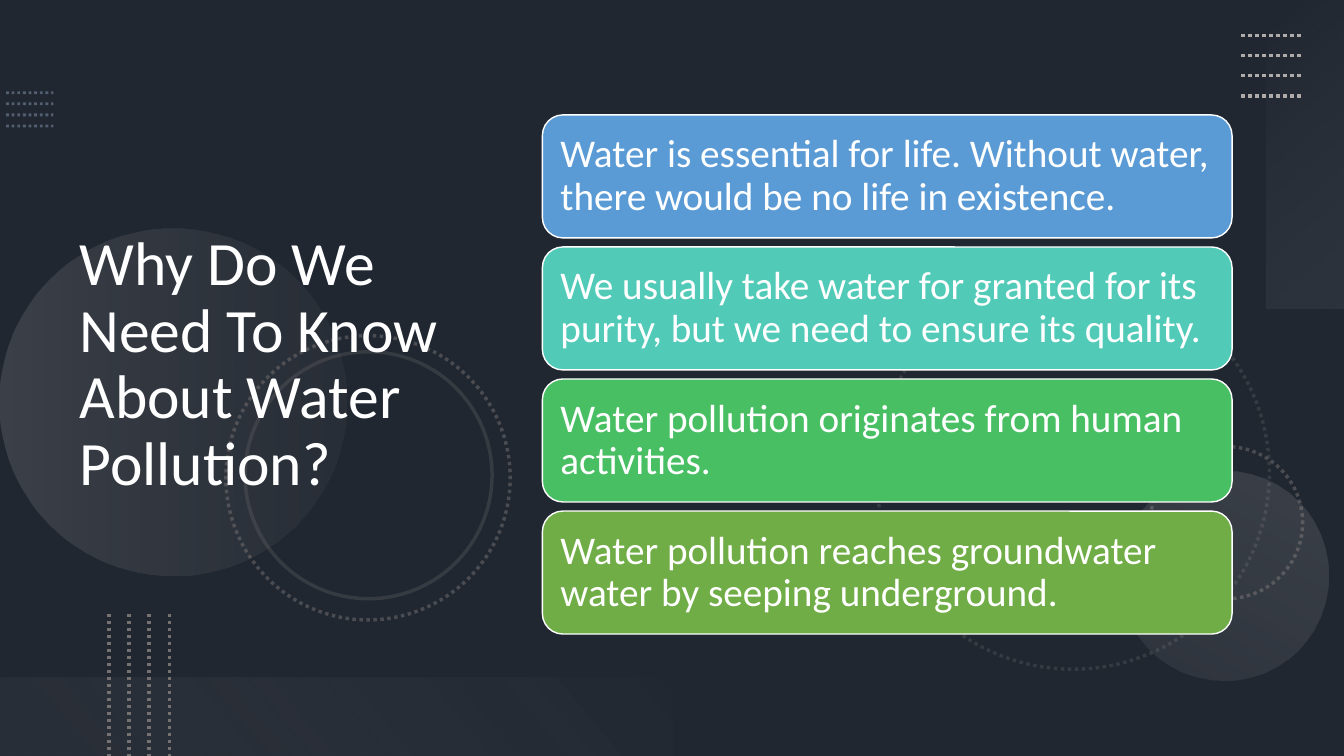
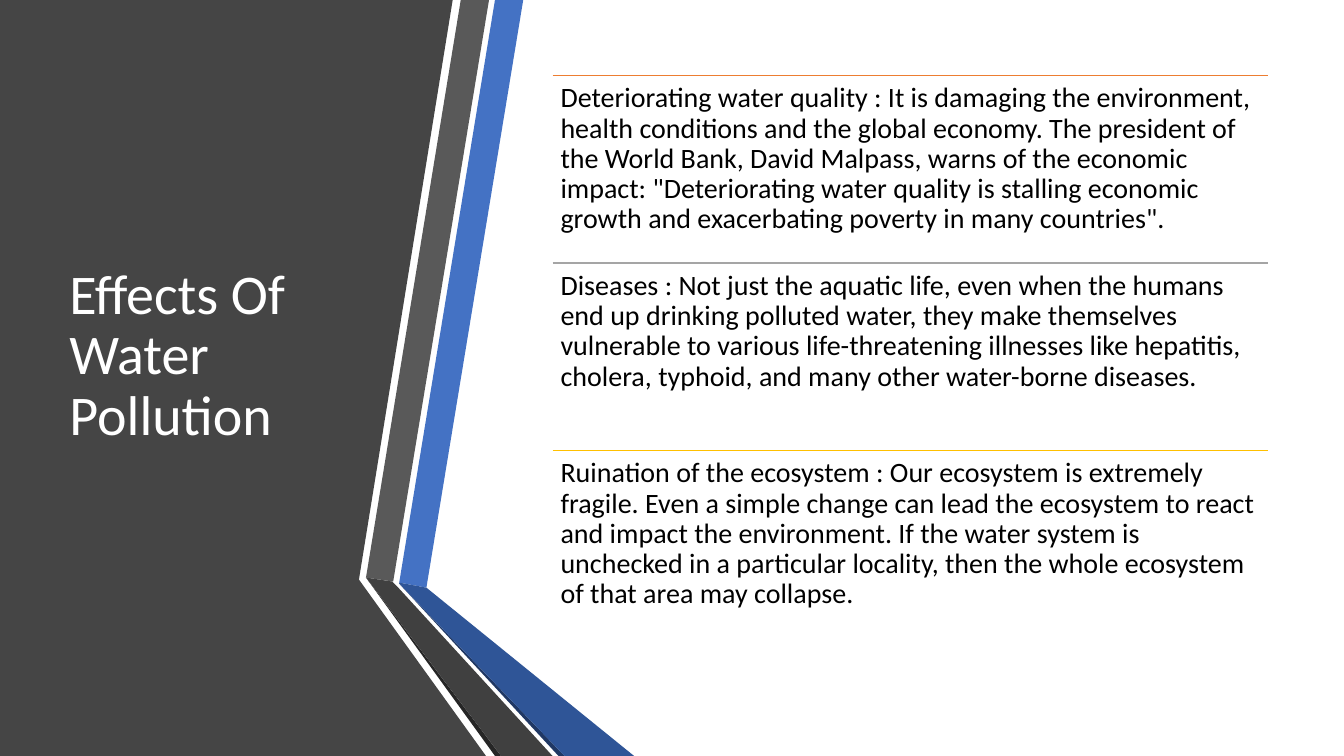
from dataclasses import dataclass
from typing import Optional

from lxml.etree import SubElement as Sub
from pptx import Presentation
from pptx.dml.color import RGBColor
from pptx.enum.dml import MSO_LINE
from pptx.enum.shapes import MSO_CONNECTOR, MSO_SHAPE as Kind
from pptx.enum.text import MSO_ANCHOR as Anchor, PP_ALIGN as Align
from pptx.oxml.ns import qn
from pptx.util import Inches, Pt

FONT = "Calibri"
WHITE, BLACK = "FFFFFF", "000000"
GREY, PALE = "767171", "AFABAB"


@dataclass
class Dots:
    """Rows of dots: first line, step to the next one, and look."""
    start: tuple
    end: tuple
    step: tuple
    color: str
    width: float
    alpha: int = 100


@dataclass
class Stop:
    pos: int
    color: str
    alpha: int


@dataclass
class Decor:
    kind: Kind
    box: tuple
    turn: int
    angle: int = 0
    stops: tuple = ()
    alpha: int = 100
    dotted: bool = True


@dataclass
class Item:
    color: str
    text: str


@dataclass
class Facet:
    color: str
    points: tuple


DOTS = [
    Dots((0.06, 0.92), (0.53, 0.92), (0, 0.11), "8497B0", 2, 50),
    Dots((12.31, 0.35), (12.91, 0.35), (0, 0.2), PALE, 2.5),
    Dots((1.08, 6.09), (1.08, 7.5), (0.2, 0), GREY, 2.5),
]

DECOR = [
    Decor(Kind.OVAL, (8.69, 2.74, 3.9, 3.9), 75, alpha=25),
    Decor(Kind.OVAL, (11.41, 4.43, 1.51, 1.51), 270, alpha=50),
    Decor(Kind.OVAL, (0, 2.27, 3.44, 3.44), 270, 90,
          (Stop(0, PALE, 20), Stop(100, GREY, 10))),
    Decor(Kind.OVAL, (11.1, 4.67, 2.08, 2.08), 210, 90,
          (Stop(0, PALE, 10), Stop(100, PALE, 20))),
    Decor(Kind.OVAL, (2.24, 3.33, 2.82, 2.82), 75, alpha=50),
    Decor(Kind.OVAL, (2.43, 3.49, 2.45, 2.45), 75, alpha=25, dotted=False),
    Decor(Kind.RECTANGLE, (11.42, 1.14, 3.06, 0.78), 270, 140,
          (Stop(0, "F5F5F5", 0), Stop(100, PALE, 10))),
    Decor(Kind.RECTANGLE, (0, 6.72, 6.67, 0.78), 180, 140,
          (Stop(10, GREY, 10), Stop(100, "F1F0F0", 0))),
]

REASONS = [
    Item("5B9BD5", "Water is essential for life. Without water, "
         "there would be no life in existence."),
    Item("52CAB8", "We usually take water for granted for its purity, "
         "but we need to ensure its quality."),
    Item("49BF64", "Water pollution originates from human activities."),
    Item("70AD47", "Water pollution reaches groundwater water "
         "by seeping underground."),
]

EFFECTS = [
    Item("ED7D31", "Deteriorating water quality : It is damaging the "
         "environment, health conditions and the global economy. The "
         "president of the World Bank, David Malpass, warns of the economic "
         "impact: \"Deteriorating water quality is stalling economic growth "
         "and exacerbating poverty in many countries\"."),
    Item("A5A5A5", "Diseases : Not just the aquatic life, even when the "
         "humans end up drinking polluted water, they make themselves "
         "vulnerable to various life-threatening illnesses like hepatitis, "
         "cholera, typhoid, and many other water-borne diseases."),
    Item("FFC000", "Ruination of the ecosystem : Our ecosystem is extremely "
         "fragile. Even a simple change can lead the ecosystem to react and "
         "impact the environment. If the water system is unchecked in a "
         "particular locality, then the whole ecosystem of that area may "
         "collapse."),
]

FACETS = [
    Facet("454545", ((0, 0), (4.49, 0), (3.56, 5.75), (4.82, 7.5), (0, 7.5))),
    Facet("4472C4", ((3.96, 5.78), (4.23, 5.83), (5.19, 0), (4.91, 0))),
    Facet("595959", ((4.85, 0), (4.57, 0), (3.63, 5.73), (3.9, 5.77))),
    Facet("262626", ((3.63, 5.73), (4.91, 7.5), (4.97, 7.5))),
    Facet("203864", ((3.96, 5.79), (5.54, 7.5), (5.6, 7.5))),
    Facet("2F5597", ((3.96, 5.79), (5.6, 7.5), (6.29, 7.5), (4.23, 5.83),
                     (3.96, 5.78))),
    Facet("404040", ((5.48, 7.5), (3.95, 5.83), (3.89, 5.77), (3.63, 5.73),
                     (4.97, 7.5))),
]


def rgb(code: str) -> RGBColor:
    return RGBColor.from_string(code)


def inch(values: tuple) -> list:
    return [Inches(v) for v in values]


def fade(shape, alpha: int) -> None:
    """Set the opacity, in percent, of the shape's plain colours."""
    if alpha < 100:
        for color in shape.element.spPr.iter(qn("a:srgbClr")):
            Sub(color, qn("a:alpha"), val=str(alpha * 1000))


def blend(shape, stops: tuple, angle: int) -> None:
    """Fill with a linear gradient that turns with the shape."""
    geom = shape.element.spPr.find(qn("a:prstGeom"))
    grad = Sub(shape.element.spPr, qn("a:gradFill"), rotWithShape="1")
    geom.addnext(grad)
    row = Sub(grad, qn("a:gsLst"))
    for stop in stops:
        mark = Sub(row, qn("a:gs"), pos=str(stop.pos * 1000))
        color = Sub(mark, qn("a:srgbClr"), val=stop.color)
        Sub(color, qn("a:alpha"), val=str(stop.alpha * 1000))
    Sub(grad, qn("a:lin"), ang=str(angle * 60000), scaled="0")


def paint(shape, fill: Optional[str] = None, edge: Optional[str] = None,
          width: float = 1) -> None:
    shape.shadow.inherit = False
    if fill:
        shape.fill.solid()
        shape.fill.fore_color.rgb = rgb(fill)
    else:
        shape.fill.background()
    if edge:
        shape.line.color.rgb = rgb(edge)
        shape.line.width = Pt(width)
    else:
        shape.line.fill.background()


def rule(slide, start: tuple, end: tuple, color: str, width: float = 1):
    line = slide.shapes.add_connector(
        MSO_CONNECTOR.STRAIGHT, *inch(start + end))
    line.line.color.rgb = rgb(color)
    line.line.width = Pt(width)
    Sub(line.element.spPr, qn("a:effectLst"))
    return line


def write(shape, text: str, size: int, color: str, anchor: Anchor,
          pad: tuple) -> None:
    """Put text in a shape; pad is the side and the top inset."""
    frame = shape.text_frame
    frame.word_wrap = True
    frame.vertical_anchor = anchor
    frame.margin_left = frame.margin_right = Inches(pad[0])
    frame.margin_top = frame.margin_bottom = Inches(pad[1])
    para = frame.paragraphs[0]
    para.text = text
    para.alignment = Align.LEFT
    para.line_spacing = 0.9
    para.font.name = FONT
    para.font.size = Pt(size)
    para.font.color.rgb = rgb(color)


def title(slide, text: str, box: tuple, size: int) -> None:
    write(slide.shapes.add_textbox(*inch(box)), text, size, WHITE,
          Anchor.MIDDLE, (0.1, 0.05))


def blank(deck, color: str):
    slide = deck.slides.add_slide(deck.slide_layouts[6])
    slide.background.fill.solid()
    slide.background.fill.fore_color.rgb = rgb(color)
    return slide


def dots(slide, rows: Dots) -> None:
    for i in range(4):
        dx, dy = rows.step[0] * i, rows.step[1] * i
        line = rule(slide, (rows.start[0] + dx, rows.start[1] + dy),
                    (rows.end[0] + dx, rows.end[1] + dy),
                    rows.color, rows.width)
        line.line.dash_style = MSO_LINE.ROUND_DOT
        fade(line, rows.alpha)


def decor(slide, item: Decor) -> None:
    shape = slide.shapes.add_shape(item.kind, *inch(item.box))
    shape.rotation = item.turn
    if item.stops:
        shape.shadow.inherit = False
        shape.line.fill.background()
        blend(shape, item.stops, item.angle)
    else:
        paint(shape, edge=GREY, width=2.5)
        if item.dotted:
            shape.line.dash_style = MSO_LINE.ROUND_DOT
        fade(shape, item.alpha)


def facet(slide, item: Facet) -> None:
    first, *rest = [inch(p) for p in item.points]
    pen = slide.shapes.build_freeform(*first)
    pen.add_line_segments(rest, close=True)
    paint(pen.convert_to_shape(), item.color)


def reasons(deck) -> None:
    slide = blank(deck, "44546A")
    veil = slide.shapes.add_shape(Kind.RECTANGLE, 0, 0, deck.slide_width,
                                  deck.slide_height)
    paint(veil, BLACK)
    fade(veil, 53)
    for item in DECOR:
        decor(slide, item)
    for rows in DOTS:
        dots(slide, rows)
    title(slide, "Why Do We Need To Know About Water Pollution?",
          (0.69, 0.54, 4, 6.17), 44)
    for i, item in enumerate(REASONS):
        card = slide.shapes.add_shape(
            Kind.ROUNDED_RECTANGLE, *inch((5.38, 1.14 + 1.31 * i, 6.84, 1.22)))
        paint(card, item.color, WHITE)
        write(card, item.text, 28, WHITE, Anchor.MIDDLE, (0.12, 0.06))


def effects(deck) -> None:
    slide = blank(deck, WHITE)
    for item in FACETS:
        facet(slide, item)
    title(slide, "Effects Of Water Pollution", (0.59, 0.75, 3.04, 5.58), 40)
    left, wide, high = 5.48, 7.1, 1.86
    for i, item in enumerate(EFFECTS):
        top = 0.75 + high * i
        rule(slide, (left, top), (left + wide, top), item.color)
        box = slide.shapes.add_textbox(*inch((left, top, wide, high)))
        write(box, item.text, 20, BLACK, Anchor.TOP, (0.08, 0.08))


def main() -> None:
    deck = Presentation()
    deck.slide_width, deck.slide_height = Inches(13.33), Inches(7.5)
    reasons(deck)
    effects(deck)
    deck.save("out.pptx")


if __name__ == "__main__":
    main()
